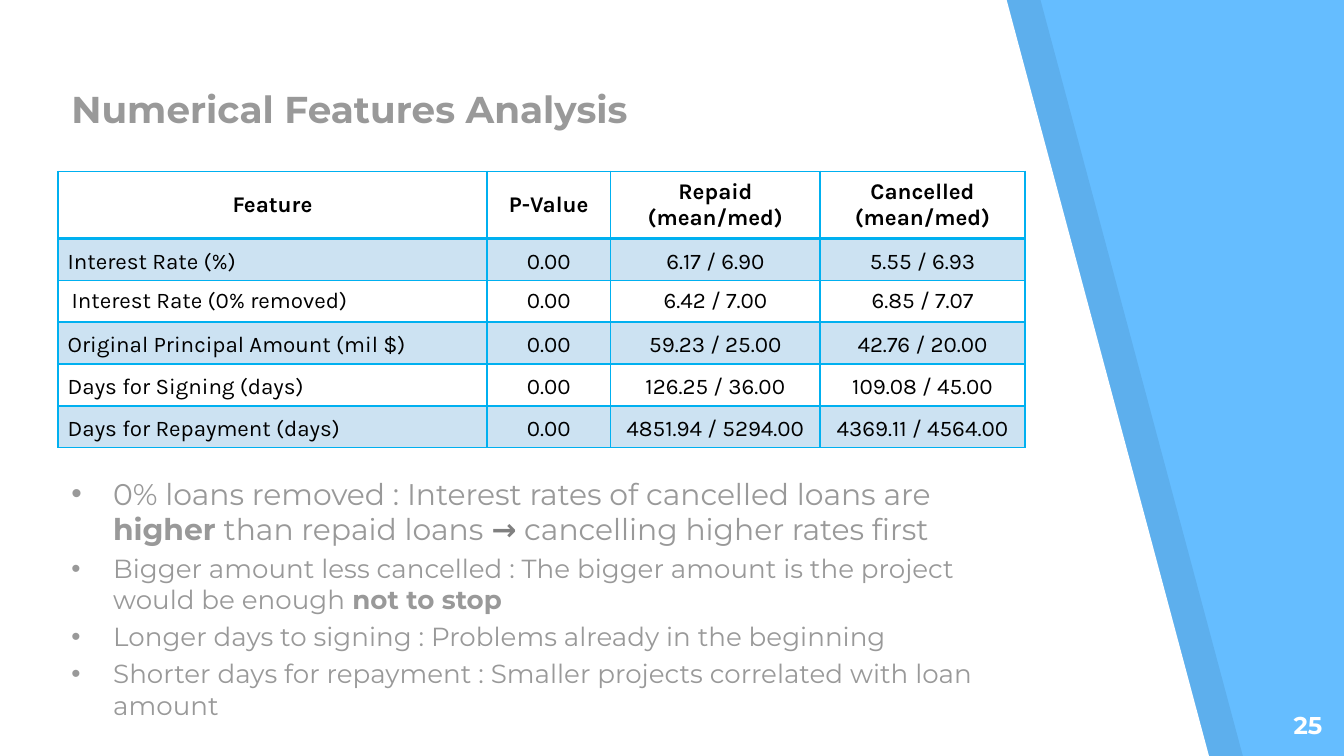
from dataclasses import dataclass

from lxml.etree import SubElement
from pptx import Presentation
from pptx.dml.color import RGBColor
from pptx.enum.text import MSO_ANCHOR, PP_ALIGN
from pptx.oxml.ns import qn
from pptx.util import Cm, Pt


@dataclass(frozen=True)
class Theme:
    sky: RGBColor = RGBColor(0x65, 0xBD, 0xFF)
    white: RGBColor = RGBColor(0xFF, 0xFF, 0xFF)
    black: RGBColor = RGBColor(0, 0, 0)
    grey: RGBColor = RGBColor(0x99, 0x99, 0x99)
    dark_grey: RGBColor = RGBColor(0x80, 0x80, 0x80)
    band: RGBColor = RGBColor(0x00, 0x70, 0xC0)
    border: RGBColor = RGBColor(0x00, 0xB0, 0xF0)
    heading_font: str = "Montserrat"
    table_font: str = "Karla"
    title_size: int = 20
    lead_size: int = 16
    body_size: int = 14
    number_size: int = 13
    table_size: int = 12


THEME = Theme()

HEADERS = ["Feature", "P-Value", "Repaid\n(mean/med)", "Cancelled\n(mean/med)"]
FEATURES = [
    ["Interest Rate (%)", "0.00", "6.17 / 6.90", "5.55 / 6.93"],
    ["Interest Rate (0% removed)", "0.00", "6.42 / 7.00", "6.85 / 7.07"],
    ["Original Principal Amount (mil $)", "0.00", "59.23 / 25.00", "42.76 / 20.00"],
    ["Days for Signing (days)", "0.00", "126.25 / 36.00", "109.08 / 45.00"],
    ["Days for Repayment (days)", "0.00", "4851.94 / 5294.00", "4369.11 / 4564.00"],
]
ROOMY_ROW = 2
COLUMN_WIDTHS = [8.1, 2.34, 3.96, 3.87]
HEADER_HEIGHT, ROW_HEIGHT = 1.25, 0.79

# Each finding is a list of (text, bold) spans.
FINDINGS = [
    [("0% loans removed : Interest rates of cancelled loans are ", False),
     ("higher", True), (" than repaid loans ", False), ("→", True),
     (" cancelling higher rates first", False)],
    [("Bigger amount less cancelled : The bigger amount is the project "
      "would be enough ", False), ("not to stop", True)],
    [("Longer days to signing : Problems already in the beginning", False)],
    [("Shorter days for repayment : Smaller projects correlated with loan "
      "amount", False)],
]


def style_span(span, size, color, font=THEME.heading_font, bold=False):
    span.font.size = Pt(size)
    span.font.color.rgb = color
    span.font.name = font
    span.font.bold = bold


def fill_solid(fill, color, percent=100):
    """Fill with a colour at the given opacity."""
    fill.solid()
    fill.fore_color.rgb = color
    if percent < 100:
        tint = fill._xPr.find(qn("a:solidFill"))[0]
        SubElement(tint, qn("a:alpha"), val=str(percent * 1000))


def add_panel(page, left, top, width, height, color, percent=100):
    """Draw a panel whose right edge slants outwards to the bottom."""
    top_right = left + width - 3.84
    outline = page.shapes.build_freeform(Cm(left), Cm(top), scale=1.0)
    corners = [(left, top + height), (left + width, top + height), (top_right, top)]
    outline.add_line_segments([(Cm(x), Cm(y)) for x, y in corners], close=True)
    panel = outline.convert_to_shape()
    panel.shadow.inherit = False
    panel.line.fill.background()
    fill_solid(panel.fill, color, percent)


def add_text_box(page, left, top, width, height, anchor):
    box = page.shapes.add_textbox(Cm(left), Cm(top), Cm(width), Cm(height))
    frame = box.text_frame
    frame.word_wrap = True
    frame.vertical_anchor = anchor
    frame.margin_left = frame.margin_right = Cm(0.25)
    frame.margin_top = frame.margin_bottom = Cm(0.25)
    return frame


def add_label(page, left, top, width, height, text, size, color,
              align=PP_ALIGN.LEFT, anchor=MSO_ANCHOR.BOTTOM):
    """Add one bold line of text."""
    frame = add_text_box(page, left, top, width, height, anchor)
    frame.text = text
    para = frame.paragraphs[0]
    para.alignment = align
    style_span(para.runs[0], size, color, bold=True)


def set_borders(cell, top, bottom):
    """Rule all four sides; top and bottom are widths in points."""
    properties = cell._tc.get_or_add_tcPr()
    for side, width in (("L", 1), ("R", 1), ("T", top), ("B", bottom)):
        line = SubElement(properties, qn(f"a:ln{side}"), w=str(Pt(width)))
        paint = SubElement(line, qn("a:solidFill"))
        SubElement(paint, qn("a:srgbClr"), val=str(THEME.border))


def fill_cell(cell, text, row, column):
    is_header = row == 0
    cell.text_frame.text = text
    cell.vertical_anchor = MSO_ANCHOR.MIDDLE
    is_compact = not is_header and row != ROOMY_ROW
    if is_compact:
        cell.margin_left = cell.margin_right = Cm(0.18)
        cell.margin_top = cell.margin_bottom = 0
    for para in cell.text_frame.paragraphs:
        para.alignment = PP_ALIGN.CENTER
        if column == 0 and not is_header:
            para.alignment = PP_ALIGN.JUSTIFY if is_compact else PP_ALIGN.LEFT
        if is_compact:
            para.line_spacing = 1.15
        style_span(para.runs[0], THEME.table_size, THEME.black,
                   THEME.table_font, is_header)
    set_borders(cell, 2.25 if row == 1 else 1, 2.25 if is_header else 1)
    if row % 2:
        fill_solid(cell.fill, THEME.band, 20)
    else:
        cell.fill.background()


def add_feature_table(page, left, top):
    rows = [HEADERS, *FEATURES]
    heights = [HEADER_HEIGHT] + [ROW_HEIGHT] * len(FEATURES)
    table = page.shapes.add_table(
        len(rows), len(HEADERS), Cm(left), Cm(top),
        Cm(sum(COLUMN_WIDTHS)), Cm(sum(heights))).table
    table.first_row = table.horz_banding = False
    for column, width in zip(table.columns, COLUMN_WIDTHS):
        column.width = Cm(width)
    for row, height in zip(table.rows, heights):
        row.height = Cm(height)
    for row, texts in enumerate(rows):
        for column, text in enumerate(texts):
            fill_cell(table.cell(row, column), text, row, column)


def add_bullet(para):
    properties = para._p.get_or_add_pPr()
    properties.set("marL", str(Cm(0.79)))
    properties.set("indent", str(-Cm(0.79)))
    color = SubElement(properties, qn("a:buClr"))
    SubElement(color, qn("a:srgbClr"), val=str(THEME.grey))
    SubElement(properties, qn("a:buFont"), typeface="Arial")
    SubElement(properties, qn("a:buChar"), char="•")


def add_findings(page, left, top, width, height):
    frame = add_text_box(page, left, top, width, height, MSO_ANCHOR.BOTTOM)
    for index, finding in enumerate(FINDINGS):
        para = frame.add_paragraph() if index else frame.paragraphs[0]
        para.space_after = Pt(3)
        add_bullet(para)
        size = THEME.body_size if index else THEME.lead_size
        for text, bold in finding:
            span = para.add_run()
            span.text = text
            if text == "→":
                style_span(span, size, THEME.dark_grey, THEME.table_font, bold)
            else:
                style_span(span, size, THEME.grey, bold=bold)


def add_analysis_slide(deck):
    page = deck.slides.add_slide(deck.slide_layouts[6])
    fill_solid(page.background.fill, THEME.sky)
    add_panel(page, 0.64, -0.02, 22.86, 14.35, THEME.black, 7)
    add_panel(page, 0, -0.02, 22.86, 14.35, THEME.white)
    add_label(page, 23.72, 13.18, 1.52, 1.09, "25", THEME.number_size,
              THEME.white, PP_ALIGN.RIGHT, MSO_ANCHOR.TOP)
    add_feature_table(page, 1.1, 3.24)
    add_findings(page, 1.1, 9.02, 17.98, 4.85)
    add_label(page, 1.1, 1.1, 16.36, 1.63, "Numerical Features Analysis",
              THEME.title_size, THEME.grey)


def main():
    deck = Presentation()
    deck.slide_width, deck.slide_height = Cm(25.4), Cm(14.29)
    add_analysis_slide(deck)
    deck.save("out.pptx")


if __name__ == "__main__":
    main()
